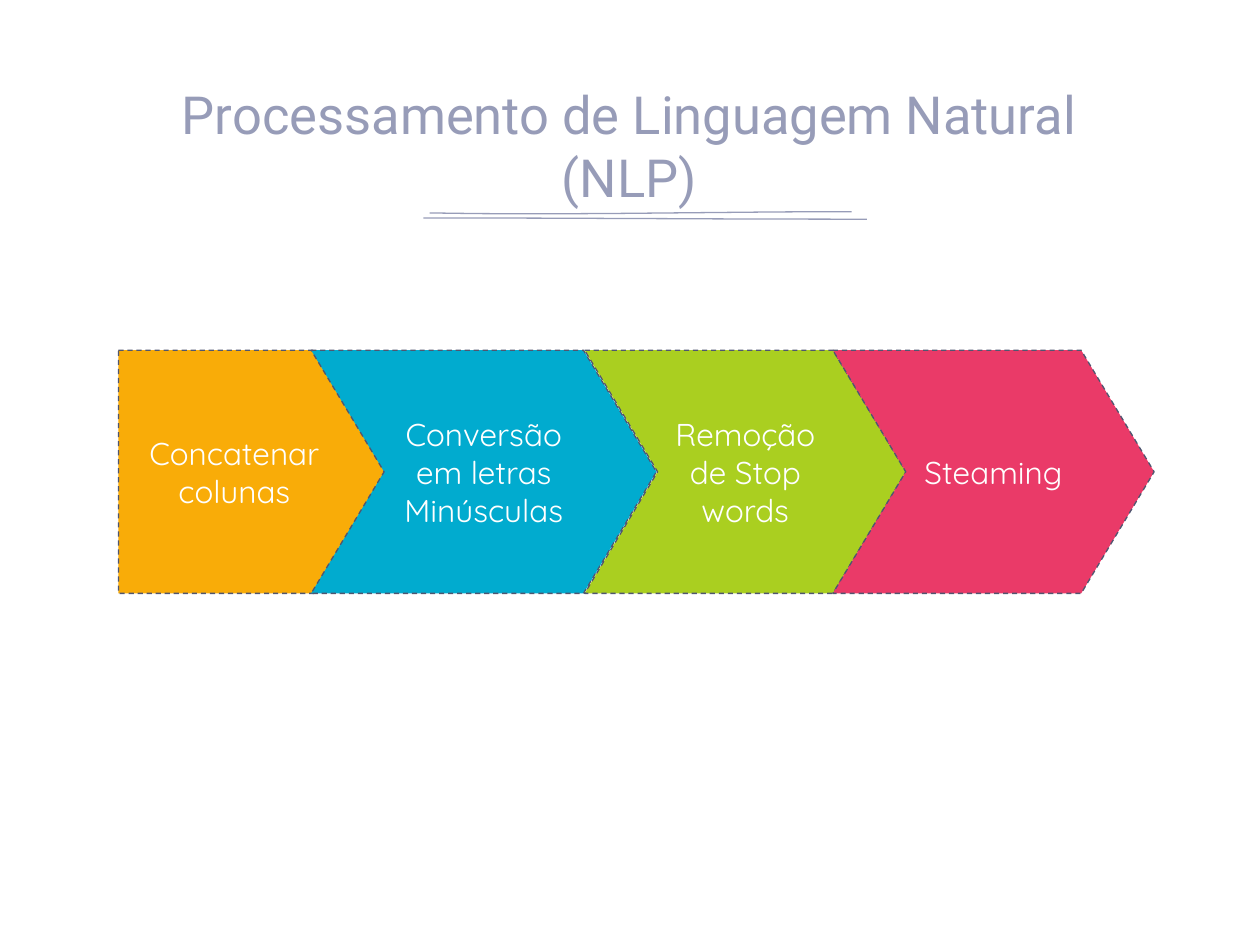
from pptx import Presentation
from pptx import util as u
from pptx.dml.color import RGBColor
from pptx.enum import dml, shapes, text

LAVENDER = RGBColor(0x97, 0x9C, 0xB8)
SLATE = RGBColor(0x50, 0x56, 0x70)
WHITE = RGBColor(0xFF, 0xFF, 0xFF)
ORANGE = RGBColor(0xF9, 0xAC, 0x08)
BLUE = RGBColor(0x01, 0xAB, 0xCF)
GREEN = RGBColor(0xAA, 0xCF, 0x20)
PINK = RGBColor(0xEA, 0x3A, 0x68)

STEPS = [
    ("Concatenar\ncolunas", ORANGE, 0, 2.13),
    ("Conversão em letras Minúsculas", BLUE, 1.53, 2.74),
    ("Remoção de Stop words", GREEN, 3.7, 2.55),
    ("Steaming", PINK, 5.67, 2.55),
]
STROKES = [
    [(0, 0.01), (1.12, 0.03), (2.23, 0), (3.35, 0)],
    [(-0.05, 0.05), (1.12, 0.05), (2.3, 0.06), (3.47, 0.06)],
]
CURVE_STEPS = 16


def write(holder, content, font, size, color, anchor):
    frame = holder.text_frame
    frame.text = content
    frame.word_wrap = True
    frame.auto_size = text.MSO_AUTO_SIZE.NONE
    frame.vertical_anchor = anchor
    frame.margin_left = frame.margin_right = u.Inches(0.1)
    frame.margin_top = frame.margin_bottom = u.Inches(0.1)
    for paragraph in frame.paragraphs:
        paragraph.alignment = text.PP_ALIGN.CENTER
        paragraph.font.name = font
        paragraph.font.size = u.Pt(size)
        paragraph.font.color.rgb = color


def curve_point(controls, t):
    weights = ((1 - t) ** 3, 3 * t * (1 - t) ** 2, 3 * t * t * (1 - t), t ** 3)
    return tuple(sum(w * point[axis] for w, point in zip(weights, controls))
                 for axis in (0, 1))


def add_underline(slide, left, top):
    for controls in STROKES:
        points = [curve_point(controls, i / CURVE_STEPS)
                  for i in range(CURVE_STEPS + 1)]
        places = [(u.Inches(left + x), u.Inches(top + y)) for x, y in points]
        builder = slide.shapes.build_freeform(*places[0])
        builder.add_line_segments(places[1:], close=False)
        stroke = builder.convert_to_shape()
        stroke.shadow.inherit = False
        stroke.fill.background()
        stroke.line.color.rgb = LAVENDER
        stroke.line.width = u.Pt(0.75)


def add_title(slide, left, top, width, height):
    title = slide.shapes.title
    title.left, title.top = u.Inches(left), u.Inches(top)
    title.width, title.height = u.Inches(width), u.Inches(height)
    write(title, "Processamento de Linguagem Natural (NLP)", "Roboto", 30,
          LAVENDER, text.MSO_ANCHOR.BOTTOM)


def add_process(slide, left, top, height):
    for index, (label, color, offset, width) in enumerate(STEPS):
        kind = shapes.MSO_SHAPE.CHEVRON if index else shapes.MSO_SHAPE.PENTAGON
        step = slide.shapes.add_shape(
            kind, u.Inches(left + offset), u.Inches(top),
            u.Inches(width), u.Inches(height))
        step.adjustments[0] = 0.3
        step.shadow.inherit = False
        step.fill.solid()
        step.fill.fore_color.rgb = color
        step.line.color.rgb = SLATE
        step.line.width = u.Pt(0.75)
        step.line.dash_style = dml.MSO_LINE.DASH
        write(step, label, "Quicksand", 18, WHITE, text.MSO_ANCHOR.MIDDLE)


def main():
    deck = Presentation()
    deck.slide_width, deck.slide_height = u.Inches(10), u.Inches(7.5)
    slide = deck.slides.add_slide(deck.slide_layouts[5])
    add_underline(slide, 3.41, 1.68)
    add_title(slide, 1.12, 0.75, 7.75, 1)
    add_process(slide, 0.94, 2.78, 1.93)
    deck.save("out.pptx")


if __name__ == "__main__":
    main()
